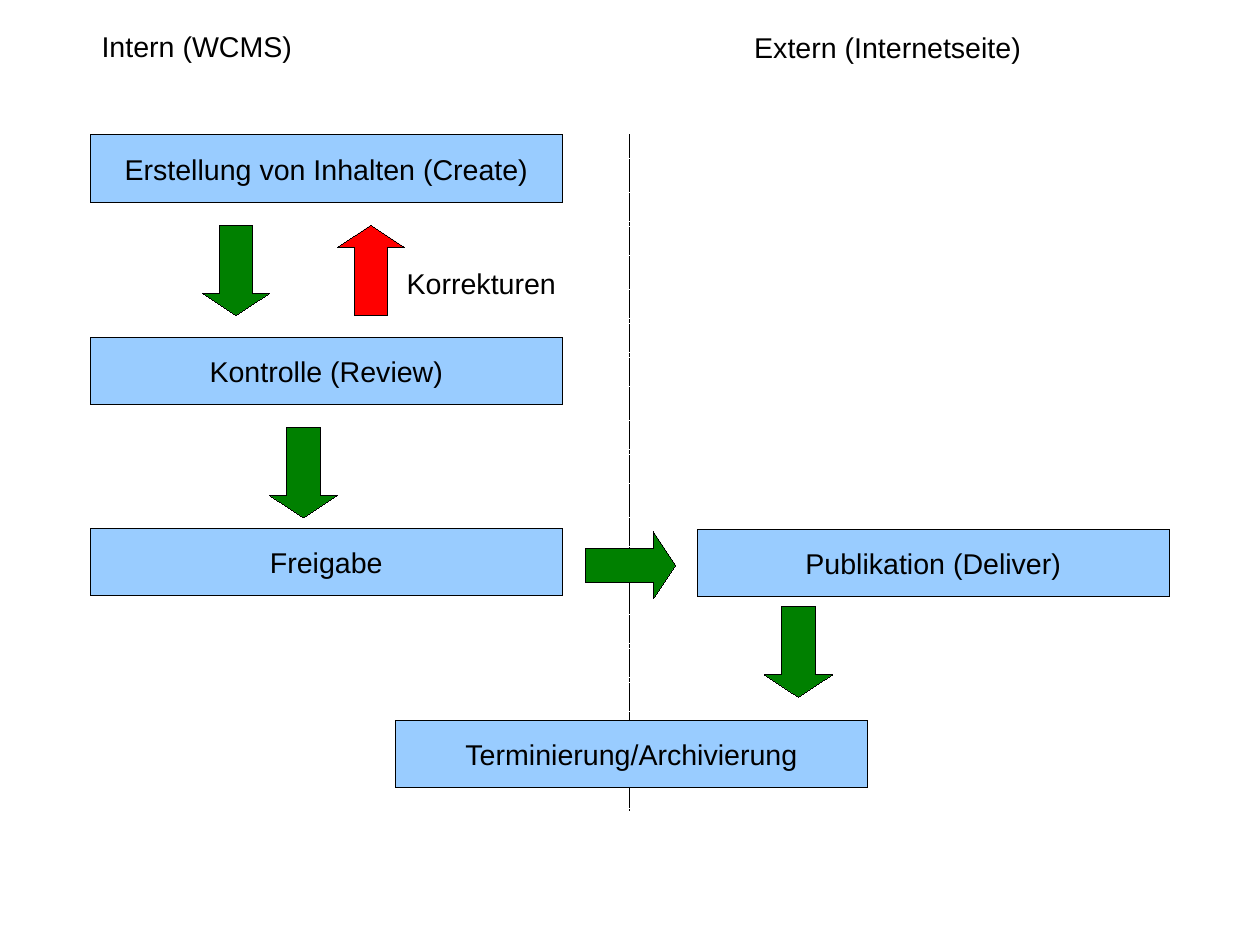
from lxml import etree
from pptx import Presentation
from pptx.dml.color import RGBColor
from pptx.enum import dml, shapes, text
from pptx.oxml import ns
from pptx.util import Inches, Pt

BLACK, BLUE, GREEN, RED = "000000", "99CCFF", "008000", "FF0000"
SHAPE = shapes.MSO_SHAPE

# Slide of 28 by 21 centimetres
SLIDE_WIDTH, SLIDE_HEIGHT = 28 / 2.54, 21 / 2.54

# Content: label, left, top, width, wrap
LABELS = [
    ("Intern (WCMS)", 0.79, 0.2, 3.15, True),
    ("Extern (Internetseite)", 6.5, 0.21, 3.15, True),
    ("Korrekturen", 3.46, 2.28, 1.53, False),
]
STEPS = [
    ("Erstellung von Inhalten (Create)", 0.79, 1.18),
    ("Kontrolle (Review)", 0.79, 2.95),
    ("Freigabe", 0.79, 4.62),
    ("Publikation (Deliver)", 6.1, 4.63),
    ("Terminierung/Archivierung", 3.46, 6.3),
]
ARROWS = [
    (SHAPE.DOWN_ARROW, 1.77, 1.97, GREEN),
    (SHAPE.UP_ARROW, 2.95, 1.97, RED),
    (SHAPE.DOWN_ARROW, 2.36, 3.74, GREEN),
    (SHAPE.RIGHT_ARROW, 5.12, 4.65, GREEN),
    (SHAPE.DOWN_ARROW, 6.69, 5.31, GREEN),
]
STEP_SIZE = (4.13, 0.59)
ARROW_LENGTH, ARROW_BREADTH = 0.79, 0.59
DIVIDER_X, DIVIDER_TOP, DIVIDER_BOTTOM = 5.51, 1.18, 7.09
HAIRLINE = Pt(0.01)


def paint(color_format, color):
    color_format.rgb = RGBColor.from_string(color)


def outline(line):
    line.fill.solid()
    paint(line.fill.fore_color, BLACK)
    line.width = HAIRLINE


def write(shape, content, alignment):
    paragraph = shape.text_frame.paragraphs[0]
    paragraph.text = content
    paragraph.alignment = alignment
    paragraph.font.name = "Arial"
    paragraph.font.size = Pt(18)
    paint(paragraph.font.color, BLACK)


def add_filled(slide, kind, left, top, width, height, color):
    shape = slide.shapes.add_shape(kind, *map(Inches, (left, top, width, height)))
    shape.shadow.inherit = False
    shape.fill.solid()
    paint(shape.fill.fore_color, color)
    outline(shape.line)
    return shape


def main():
    presentation = Presentation()
    presentation.slide_width = Inches(SLIDE_WIDTH)
    presentation.slide_height = Inches(SLIDE_HEIGHT)
    slide = presentation.slides.add_slide(presentation.slide_layouts[6])

    # Divider between internal and external side
    divider = slide.shapes.add_connector(
        shapes.MSO_CONNECTOR.STRAIGHT,
        *map(Inches, (DIVIDER_X, DIVIDER_TOP, DIVIDER_X, DIVIDER_BOTTOM)))
    outline(divider.line)
    divider.line.dash_style = dml.MSO_LINE.SQUARE_DOT
    etree.SubElement(divider._element.spPr, ns.qn("a:effectLst"))

    # Headings and arrow label
    for content, left, top, width, wrap in LABELS:
        label = slide.shapes.add_textbox(*map(Inches, (left, top, width, 0.38)))
        label.text_frame.word_wrap = wrap
        label.text_frame.auto_size = text.MSO_AUTO_SIZE.SHAPE_TO_FIT_TEXT
        write(label, content, text.PP_ALIGN.LEFT)

    # Workflow steps
    for content, left, top in STEPS:
        step = add_filled(slide, SHAPE.RECTANGLE, left, top, *STEP_SIZE, BLUE)
        step.text_frame.vertical_anchor = text.MSO_ANCHOR.MIDDLE
        write(step, content, text.PP_ALIGN.CENTER)

    # Arrows between the steps
    for kind, left, top, color in ARROWS:
        size = (ARROW_BREADTH, ARROW_LENGTH)
        if kind == SHAPE.RIGHT_ARROW:
            size = (ARROW_LENGTH, ARROW_BREADTH)
        arrow = add_filled(slide, kind, left, top, *size, color)
        arrow.adjustments[0] = 0.5
        arrow.adjustments[1] = 0.33

    presentation.save("out.pptx")


if __name__ == "__main__":
    main()
